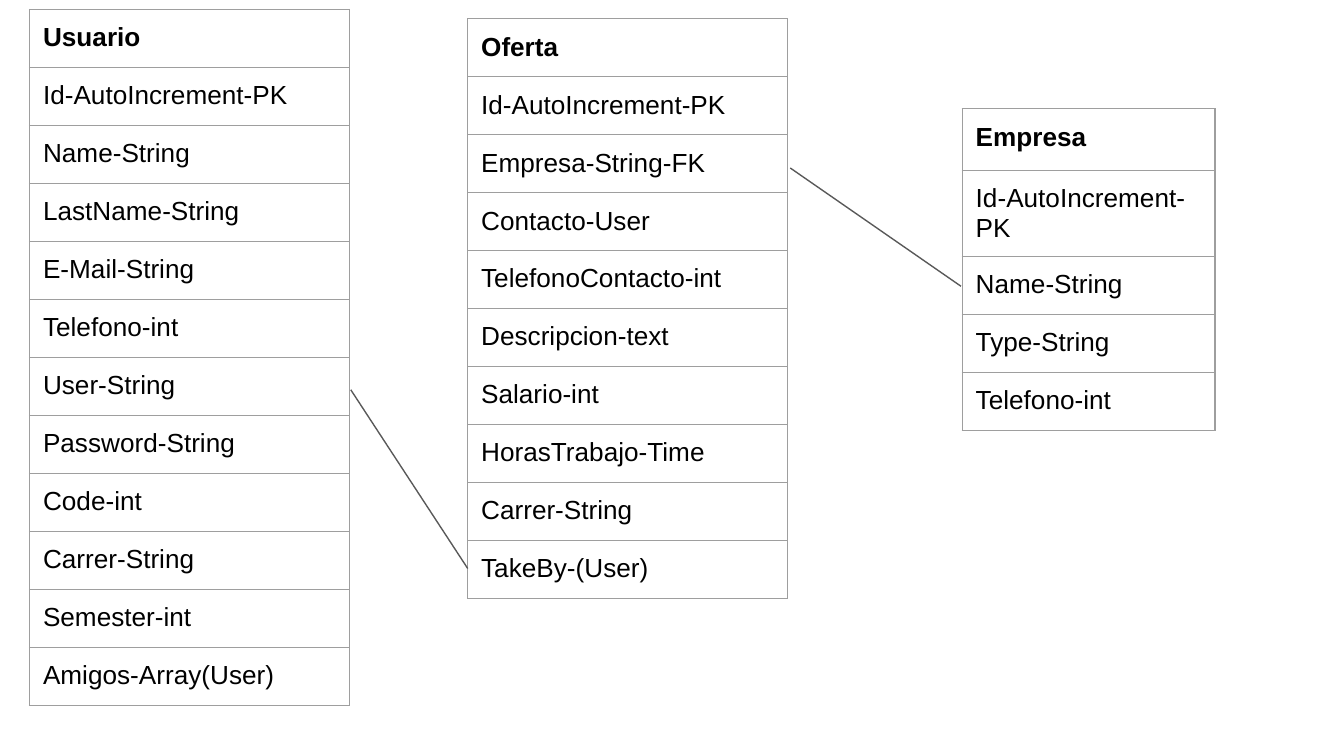
from lxml.etree import SubElement
from pptx import Presentation
from pptx.dml.color import RGBColor
from pptx.enum.shapes import MSO_CONNECTOR
from pptx.oxml.ns import qn
from pptx.util import Inches, Pt

BLACK = RGBColor(0x00, 0x00, 0x00)
GREY = RGBColor(0x9E, 0x9E, 0x9E)
DARK = RGBColor(0x59, 0x59, 0x59)
ROW = 5.18 / 12  # twelve equal rows fill the tallest table
PAD = Inches(0.1)

# Content: left, top, width, head height, name, fields
TABLES = [
    (0.22, 0.07, 2.38, ROW, "Usuario", [
        "Id-AutoIncrement-PK", "Name-String", "LastName-String",
        "E-Mail-String", "Telefono-int", "User-String", "Password-String",
        "Code-int", "Carrer-String", "Semester-int", "Amigos-Array(User)"]),
    (7.16, 0.81, 1.88, 0.46, "Empresa", [
        "Id-AutoIncrement-PK", "Name-String", "Type-String", "Telefono-int"]),
    (3.48, 0.14, 2.38, ROW, "Oferta", [
        "Id-AutoIncrement-PK", "Empresa-String-FK", "Contacto-User",
        "TelefonoContacto-int", "Descripcion-text", "Salario-int",
        "HorasTrabajo-Time", "Carrer-String", "TakeBy-(User)"]),
]
LINKS = [(5.88, 1.25, 7.15, 2.13), (2.61, 2.9, 3.48, 4.23)]


def write(cell, text, size=14, bold=False, color=BLACK, face="Arial"):
    run = cell.text_frame.paragraphs[0].add_run()
    run.text = text
    font = run.font
    font.name, font.size, font.bold = face, Pt(size), bold
    font.color.rgb = color


def frame(cell):
    cell.margin_left = cell.margin_right = PAD
    cell.margin_top = cell.margin_bottom = PAD
    # Borders come before the fill in the cell properties
    props = cell._tc.get_or_add_tcPr()
    for side in ("a:lnL", "a:lnR", "a:lnT", "a:lnB"):
        edge = SubElement(props, qn(side), w=str(Pt(0.75)))
        paint = SubElement(edge, qn("a:solidFill"))
        SubElement(paint, qn("a:srgbClr"), val=str(GREY))
    cell.fill.background()


# Widescreen page, 16 to 9
deck = Presentation()
deck.slide_width = Inches(10)
deck.slide_height = Inches(10 * 9 / 16)
slide = deck.slides.add_slide(deck.slide_layouts[6])

# Entity tables
for left, top, width, head, name, fields in TABLES:
    lines = [name] + fields
    high = head + ROW * len(fields)
    shape = slide.shapes.add_table(len(lines), 1, Inches(left), Inches(top),
                                   Inches(width), Inches(high))
    table = shape.table
    table.first_row = table.horz_banding = False
    for i, text in enumerate(lines):
        table.rows[i].height = Inches(ROW if i else head)
        cell = table.cell(i, 0)
        frame(cell)
        write(cell, text, bold=i == 0)

# Links between keys
for ends in LINKS:
    link = slide.shapes.add_connector(MSO_CONNECTOR.STRAIGHT,
                                      *[Inches(n) for n in ends])
    link.line.color.rgb = DARK
    link.line.width = Pt(0.75)
    SubElement(link._element.spPr, qn("a:effectLst"))

deck.save("out.pptx")
